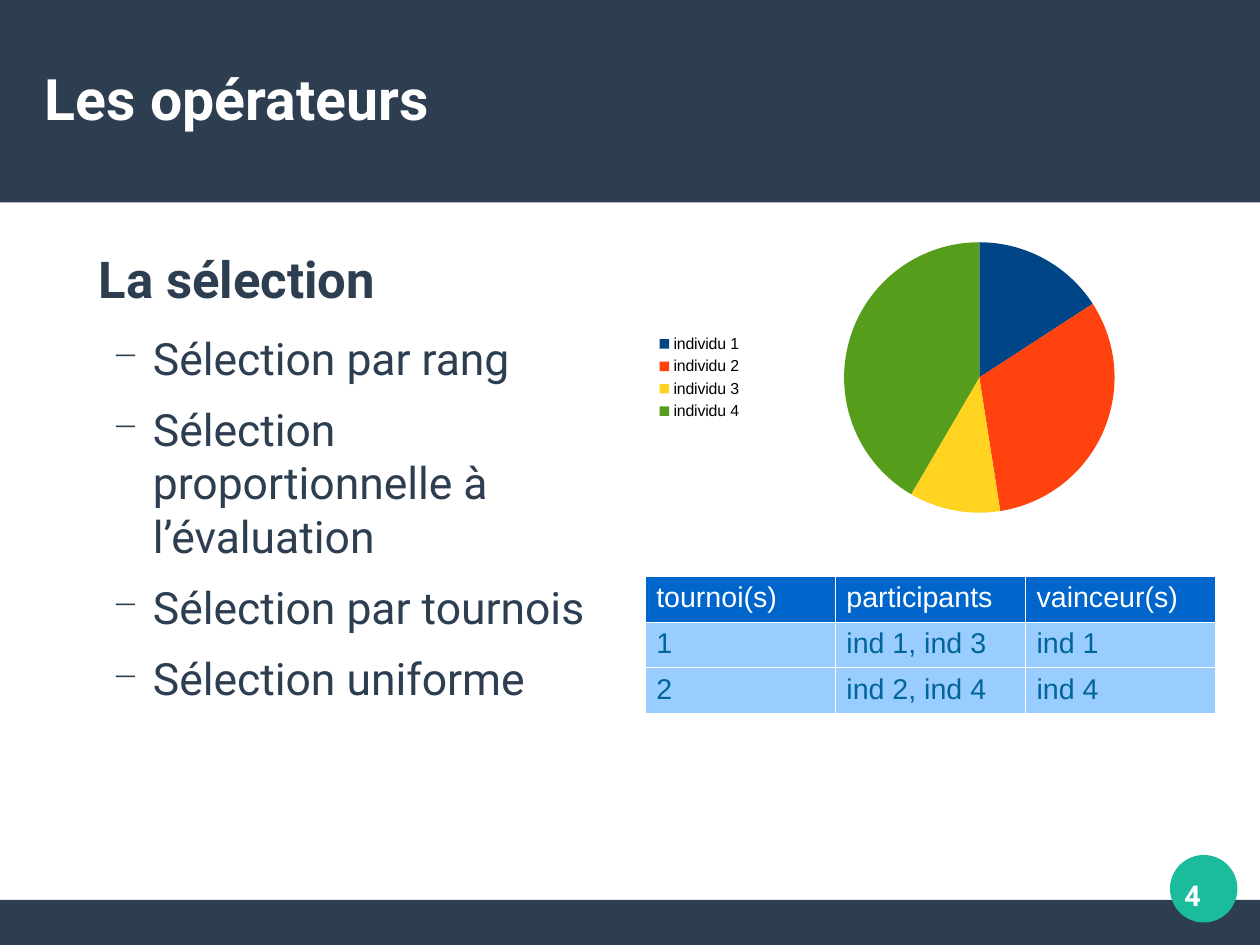
from lxml.etree import SubElement
from pptx import Presentation
from pptx.chart.data import CategoryChartData
from pptx.dml.color import RGBColor
from pptx.enum.chart import XL_CHART_TYPE, XL_LEGEND_POSITION
from pptx.enum.shapes import MSO_SHAPE
from pptx.enum.text import MSO_ANCHOR, PP_ALIGN
from pptx.oxml import parse_xml
from pptx.oxml.ns import nsdecls, qn
from pptx.util import Cm, Pt

NAVY, TEAL, WHITE = "2C3E50", "1ABC9C", "FFFFFF"
SLICES = [
    ("individu 1", 16, "004586"),
    ("individu 2", 32, "FF420E"),
    ("individu 3", 11, "FFD320"),
    ("individu 4", 42, "579D1C"),
]
ROWS = [
    ("tournoi(s)", "participants", "vainceur(s)"),
    ("1", "ind 1, ind 3", "ind 1"),
    ("2", "ind 2, ind 4", "ind 4"),
]
METHODS = [
    "Sélection par rang",
    "Sélection proportionnelle à l’évaluation",
    "Sélection par tournois",
    "Sélection uniforme",
]


def rgb(code):
    return RGBColor.from_string(code)


def style(font, size, color, bold=False, name="Roboto"):
    font.name, font.size, font.bold = name, Pt(size), bold
    font.color.rgb = rgb(color)


def bare(frame, anchor):
    """Wrap the text and take away the frame's margins."""
    frame.word_wrap = True
    frame.vertical_anchor = anchor
    frame.margin_left = frame.margin_right = 0
    frame.margin_top = frame.margin_bottom = 0


def add_block(slide, kind, box, color):
    block = slide.shapes.add_shape(kind, *map(Cm, box))
    block.shadow.inherit = False
    block.fill.solid()
    block.fill.fore_color.rgb = rgb(color)
    block.line.fill.background()


def add_title(slide, box, text):
    title = slide.shapes.title
    title.left, title.top, title.width, title.height = map(Cm, box)
    slide.shapes._spTree.append(title._element)  # in front of the band
    frame = title.text_frame
    frame.text = text
    bare(frame, MSO_ANCHOR.MIDDLE)
    par = frame.paragraphs[0]
    par.alignment = PP_ALIGN.LEFT
    style(par.font, 36, WHITE, True)


def add_number(slide, box, text):
    frame = slide.shapes.add_textbox(*map(Cm, box)).text_frame
    bare(frame, MSO_ANCHOR.MIDDLE)
    par = frame.paragraphs[0]
    par.text = text
    par.alignment = PP_ALIGN.CENTER
    style(par.font, 18, WHITE, True)


def add_dash(par):
    props = par._p.get_or_add_pPr()
    props.set("lvl", "1")
    props.set("marL", str(Cm(2.4)))
    props.set("indent", str(Cm(-0.9)))
    tint = SubElement(props, qn("a:buClr"))
    SubElement(tint, qn("a:srgbClr"), val=NAVY)
    SubElement(props, qn("a:buSzPct"), val="75000")
    SubElement(props, qn("a:buChar"), char="−")


def add_list(slide, box, head, items):
    frame = slide.shapes.add_textbox(*map(Cm, box)).text_frame
    bare(frame, MSO_ANCHOR.TOP)
    par = frame.paragraphs[0]
    par.text = head
    par.space_after = Pt(14.1)
    par._p.get_or_add_pPr().set("marL", str(Cm(1.2)))
    style(par.font, 32, NAVY, True)
    for item in items:
        par = frame.add_paragraph()
        par.text = item
        add_dash(par)
        par.space_after = Pt(11.3)
        style(par.font, 28, NAVY)


def add_pie(slide, box, slices):
    names, values, colors = zip(*slices)
    data = CategoryChartData()
    data.categories = names
    data.add_series("Series 1", values)
    chart = slide.shapes.add_chart(XL_CHART_TYPE.PIE, *map(Cm, box), data).chart
    chart.has_title = False
    style(chart.font, 10, "000000", name="Arial")
    chart.has_legend = True
    chart.legend.position = XL_LEGEND_POSITION.LEFT
    chart.legend.include_in_layout = False
    style(chart.legend.font, 10, "000000", name="Arial")
    plot = chart.plots[0]
    plot.vary_by_categories = True
    for i, color in enumerate(colors):
        fill = plot.series[0].points[i].format.fill
        fill.solid()
        fill.fore_color.rgb = rgb(color)
    place_plot(chart, x=0.35, y=0.05, w=0.48, h=0.9)


def place_plot(chart, **parts):
    """Fix the plot area, in fractions of the chart."""
    area = chart._chartSpace.chart.plotArea
    for old in area.findall(qn("c:layout")):
        area.remove(old)
    modes = '<c:xMode val="edge"/><c:yMode val="edge"/>'
    sizes = "".join(f'<c:{k} val="{v}"/>' for k, v in parts.items())
    area.insert(0, parse_xml(
        f'<c:layout {nsdecls("c")}><c:manualLayout>'
        f'<c:layoutTarget val="inner"/>{modes}{sizes}'
        "</c:manualLayout></c:layout>"))


def add_edges(cell):
    props = cell._tc.get_or_add_tcPr()
    for i, side in enumerate("LRTB"):
        props.insert(i, parse_xml(
            f'<a:ln{side} {nsdecls("a")} w="762"><a:solidFill>'
            f'<a:srgbClr val="{WHITE}"/></a:solidFill></a:ln{side}>'))


def add_grid(slide, box, rows):
    grid = slide.shapes.add_table(len(rows), len(rows[0]), *map(Cm, box)).table
    for r, row in enumerate(rows):
        back, ink = ("99CCFF", "006699") if r else ("0066CC", WHITE)
        for c, text in enumerate(row):
            cell = grid.cell(r, c)
            cell.text = text
            cell.fill.solid()
            cell.fill.fore_color.rgb = rgb(back)
            add_edges(cell)
            style(cell.text_frame.paragraphs[0].font, 18, ink, name="Arial")


def add_frame(slide, wide, high):
    """Draw the top band, the foot band and the number's disc."""
    add_block(slide, MSO_SHAPE.RECTANGLE, (0, high - 1, wide, 1), NAVY)
    add_block(slide, MSO_SHAPE.RECTANGLE, (0, 0, wide, 4.5), NAVY)
    add_block(slide, MSO_SHAPE.OVAL, (wide - 2, high - 2, 1.5, 1.5), TEAL)


def main():
    deck = Presentation()
    wide, high = 28, 21
    deck.slide_width, deck.slide_height = Cm(wide), Cm(high)
    slide = deck.slides.add_slide(deck.slide_layouts[5])
    add_frame(slide, wide, high)
    add_title(slide, (1, 0.85, 26, 2.66), "Les opérateurs")
    add_list(slide, (1, 5.5, 12.68, 14), "La sélection", METHODS)
    add_pie(slide, (14.33, 5.05, 12.6, 6.68), SLICES)
    add_grid(slide, (14.33, 12.8, 12.68, 2.92), ROWS)
    add_number(slide, (25.5, 18.9, 2, 2), "4")
    deck.save("out.pptx")


if __name__ == "__main__":
    main()
